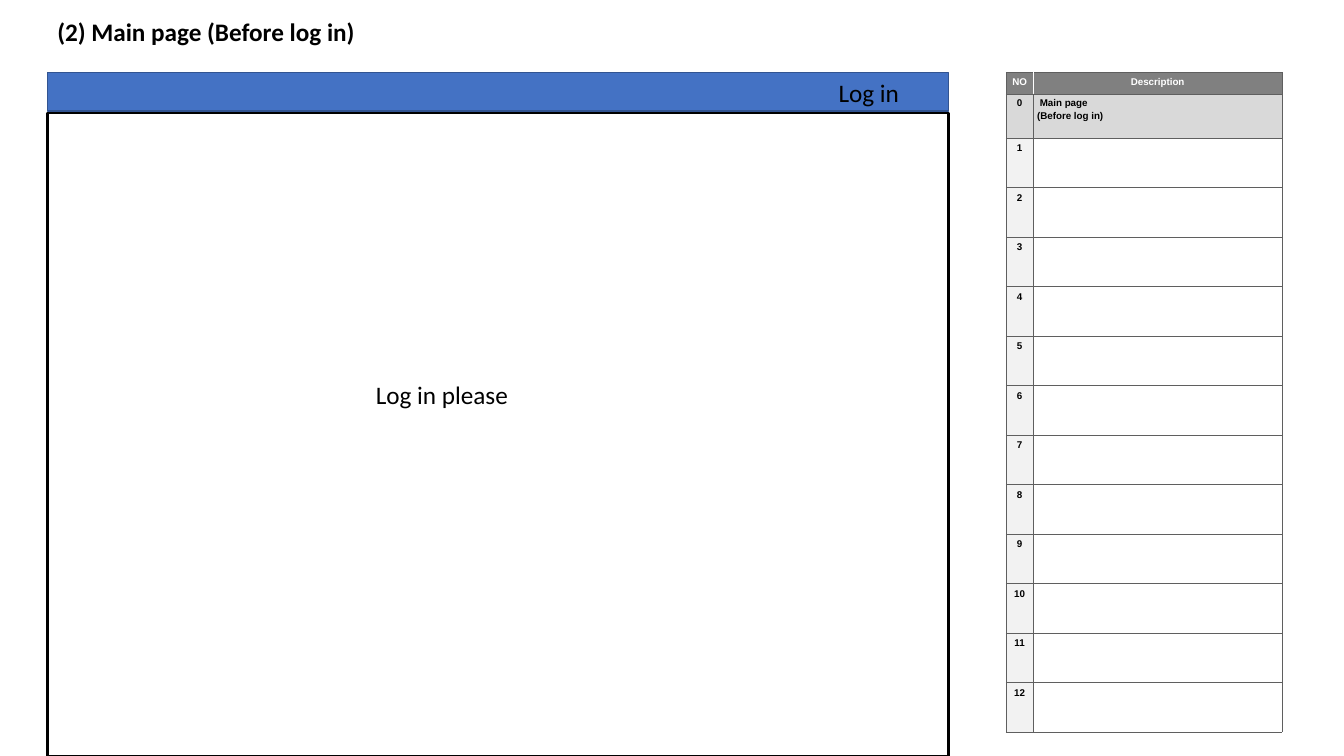
from lxml.etree import SubElement
from pptx import Presentation
from pptx.dml.color import RGBColor
from pptx.enum.shapes import MSO_SHAPE
from pptx.enum.text import PP_ALIGN
from pptx.oxml.ns import qn
from pptx.util import Inches, Pt

GRID_STEP = 0.1  # inches per grid column and per grid row
BLACK, WHITE, GRAY = "000000", "FFFFFF", "5F5F5F"


def color(value):
    """Turn a hex string into a colour."""
    return RGBColor.from_string(value)


def grid(*steps):
    """Turn grid columns or rows into lengths."""
    return [Inches(step * GRID_STEP) for step in steps]


def draw_borders(cell, **changes):
    """Outline a cell in thin gray, with (colour, width) changes by side."""
    properties = cell._tc.get_or_add_tcPr()
    for side in "LRTB":
        line_color, width = changes.get(side, (GRAY, 0.25))
        line = SubElement(properties, qn(f"a:ln{side}"), w=str(int(Pt(width))))
        fill = SubElement(line, qn("a:solidFill"))
        SubElement(fill, qn("a:srgbClr"), val=line_color)


class Wireframe:
    """Holds the style and the current slide."""

    body_font, body_size = "Calibri", 18
    table_font, table_size = "Arial", 7

    def __init__(self, deck):
        """Add a blank slide to the deck."""
        self.slide = deck.slides.add_slide(deck.slide_layouts[6])

    def set_text(self, para, text, font, size, ink=BLACK, bold=False):
        """Put formatted text into a paragraph."""
        para.text = text
        for span in para.runs:
            span.font.name, span.font.size = font, Pt(size)
            span.font.bold = bold
            span.font.color.rgb = color(ink)

    def panel(self, place, fill, line, width):
        """Add an outlined rectangle."""
        box = self.slide.shapes.add_shape(MSO_SHAPE.RECTANGLE, *grid(*place))
        box.shadow.inherit = False
        box.fill.solid()
        box.fill.fore_color.rgb = color(fill)
        box.line.color.rgb = color(line)
        box.line.width = Pt(width)

    def label(self, place, text, bold=False):
        """Add a wrapped line of body text."""
        box = self.slide.shapes.add_textbox(*grid(*place))
        box.text_frame.word_wrap = True
        self.set_text(box.text_frame.paragraphs[0], text,
                      self.body_font, self.body_size, bold=bold)

    def fill_cell(self, cell, text, fill, margin, ink, centered, **borders):
        """Fill and style one table cell."""
        draw_borders(cell, **borders)
        cell.fill.solid()
        cell.fill.fore_color.rgb = color(fill)
        cell.margin_left = cell.margin_right = Inches(margin)
        cell.margin_top = cell.margin_bottom = Inches(margin)
        cell.text_frame.text = text
        for para in cell.text_frame.paragraphs:
            para.alignment = PP_ALIGN.CENTER if centered else PP_ALIGN.LEFT
            para.space_before = Pt(0.2 * self.table_size)
            self.set_text(para, para.text, self.table_font, self.table_size,
                          ink, True)

    def description_table(self, place, widths, heights, rows):
        """Add the numbered table with a header and a page row."""
        table = self.slide.shapes.add_table(
            len(rows), len(widths), *grid(*place)).table
        table.first_row = table.horz_banding = False
        for column, width in zip(table.columns, grid(*widths)):
            column.width = width
        for row, height in zip(table.rows, grid(*heights)):
            row.height = height
        divider = (WHITE, 0.5)
        for index, (number, description) in enumerate(rows):
            header = index == 0
            number_fill, text_fill = {
                0: ("808080", "808080"), 1: ("D9D9D9", "D9D9D9"),
            }.get(index, ("F2F2F2", WHITE))
            margin = 0.04 if index < 2 else 0.05
            ink = WHITE if header else BLACK
            self.fill_cell(table.cell(index, 0), number, number_fill, margin,
                           ink, True, **({"R": divider} if header else {}))
            self.fill_cell(table.cell(index, 1), description, text_fill, margin,
                           ink, header, **({"L": divider} if header else {}))


def build():
    """Build and save the main page wireframe."""
    deck = Presentation()
    deck.slide_width, deck.slide_height = grid(133.33, 75)
    page = Wireframe(deck)

    left, top, width = 4.7, 7.2, 89.4
    item_count = 12
    rows = [("NO", "Description"), ("0", " Main page \n(Before log in) ")]
    rows += [(str(number), "") for number in range(1, item_count + 1)]
    heights = [2.1, 4.4] + [4.91] * item_count
    page.description_table((99.8, top, 27.4, sum(heights)), (2.7, 24.7),
                           heights, rows)

    page.panel((left, 11.2, width, 63.8), WHITE, BLACK, 1.75)
    page.panel((left, top, width, 3.8), "4472C4", "325491", 1)
    page.label((82.2, top, 9.9, 4), "Log in")
    page.label((36.3, 37.1, 59.7, 4), "Log in please")
    page.label((left, 1.1, 49, 4), "(2) Main page (Before log in) ", bold=True)
    deck.save("out.pptx")


build()
